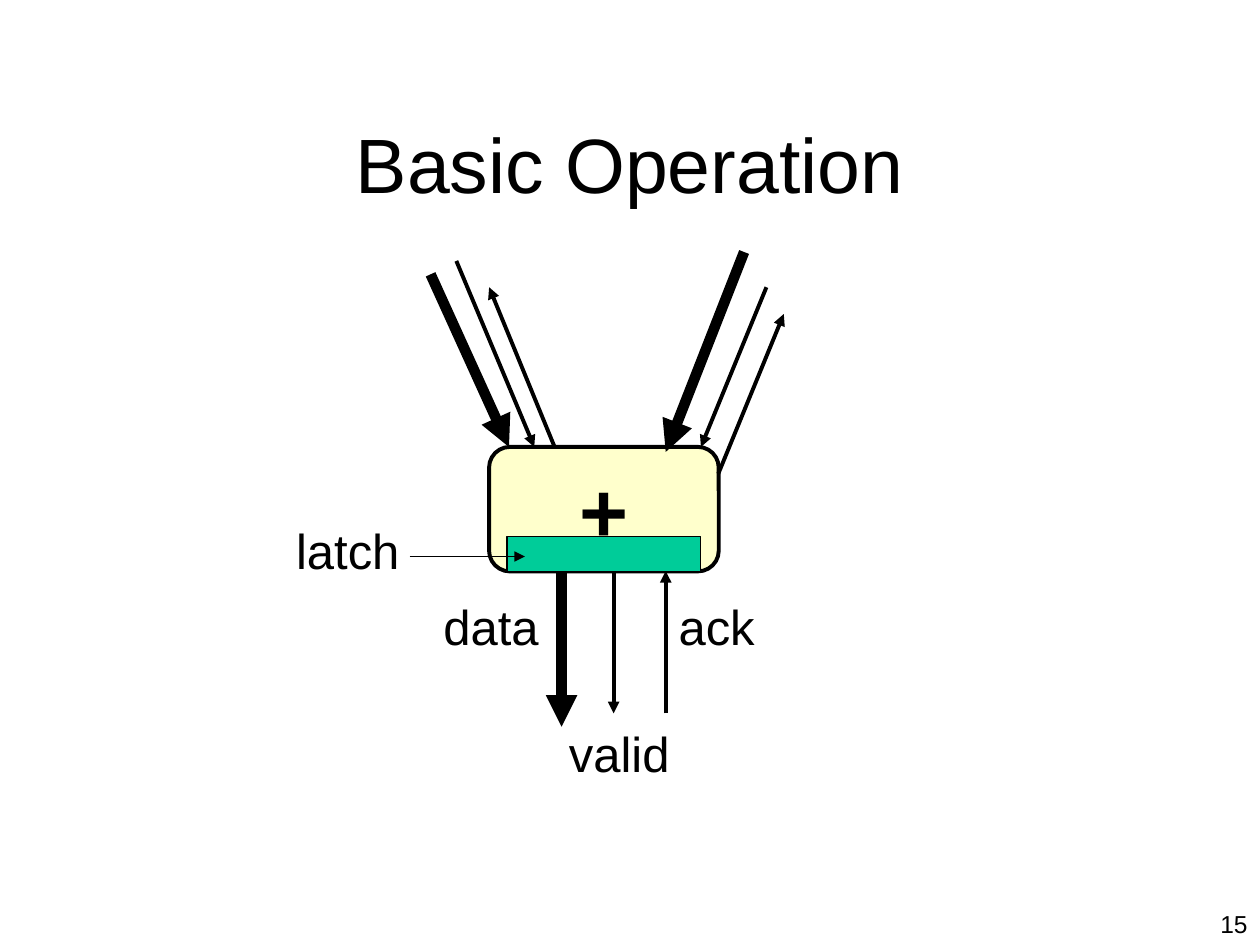
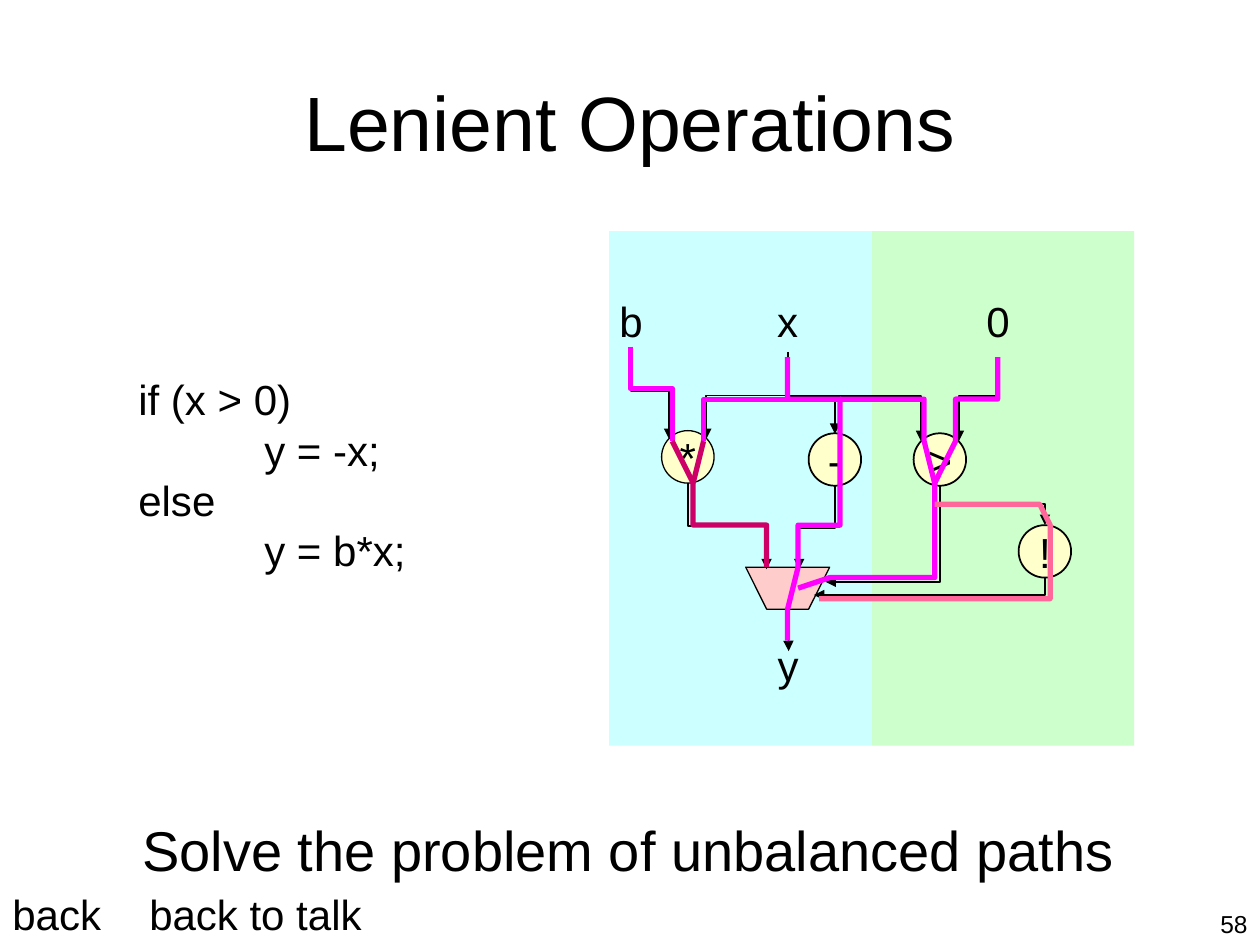
from dataclasses import dataclass

from lxml import etree
from pptx import Presentation
from pptx.dml.color import RGBColor as RGB
from pptx.enum.shapes import MSO_CONNECTOR as CONN, MSO_SHAPE as SHAPE
from pptx.enum.text import MSO_ANCHOR as ANCHOR, PP_ALIGN as ALIGN
from pptx.oxml.ns import qn
from pptx.util import Cm, Pt

FONT = "Arial"
COLORS = {
    "ink": "000000", "node": "FFFFCC", "latch": "00CC99", "mux": "FFCCCC",
    "cyan": "CCFFFF", "green": "CCFFCC",
    "taken": "FF00FF", "product": "CC0066", "negated": "FF6699",
}


@dataclass
class Box:
    left: float
    top: float
    unit: float = 1

    def size(self, *lengths):
        return [Cm(n * self.unit) for n in lengths]

    def at(self, x, y):
        return Cm(self.left + x * self.unit), Cm(self.top + y * self.unit)


PAGE = Box(0, 0)


def color(name):
    return RGB.from_string(COLORS[name])


def write(tf, lines, size, align=ALIGN.LEFT, bold=False, spacing=None, tab=None):
    for i, line in enumerate(lines):
        p = tf.paragraphs[0] if i == 0 else tf.add_paragraph()
        p.alignment = align
        if spacing:
            p.line_spacing = spacing
        if tab:
            tabs = etree.SubElement(p._p.get_or_add_pPr(), qn("a:tabLst"))
            etree.SubElement(tabs, qn("a:tab"), pos=str(tab), algn="l")
        r = p.add_run()
        r.text = line
        r.font.name, r.font.size, r.font.bold = FONT, Pt(size), bold
        r.font.color.rgb = color("ink")


def add_text(s, box, rect, lines, size, anchor=ANCHOR.TOP, wrap=False, **style):
    x, y, w, h = rect
    tb = s.shapes.add_textbox(*box.at(x, y), *box.size(w, h))
    tf = tb.text_frame
    tf.word_wrap = wrap
    tf.vertical_anchor = anchor
    write(tf, lines, size, **style)


def paint(sp, fill=None, line=None, width=1):
    sp.shadow.inherit = False
    if fill:
        sp.fill.solid()
        sp.fill.fore_color.rgb = color(fill)
    else:
        sp.fill.background()
    if line:
        sp.line.color.rgb = color(line)
        sp.line.width = Pt(width)
    else:
        sp.line.fill.background()


def add_block(s, box, kind, rect, fill, line=None, width=1, text=None, size=24, bold=False):
    x, y, w, h = rect
    sp = s.shapes.add_shape(kind, *box.at(x, y), *box.size(w, h))
    paint(sp, fill, line, width)
    if text:
        sp.text_frame.word_wrap = False
        sp.text_frame.vertical_anchor = ANCHOR.MIDDLE
        write(sp.text_frame, [text], size, ALIGN.CENTER, bold)


def add_path(s, box, points, fill=None, line="ink", width=1, close=False):
    start, *rest = [box.at(x, y) for x, y in points]
    fb = s.shapes.build_freeform(*start)
    fb.add_line_segments(rest, close=close)
    paint(fb.convert_to_shape(), fill, line, width)


def add_line(s, box, start, end, width, line="ink", arrow=True, kind=CONN.STRAIGHT):
    c = s.shapes.add_connector(kind, *box.at(*start), *box.at(*end))
    c.line.color.rgb = color(line)
    c.line.width = Pt(width)
    if arrow:
        etree.SubElement(c.line._get_or_add_ln(), qn("a:tailEnd"), type="triangle")
    etree.SubElement(c._element.spPr, qn("a:effectLst"))
    return c


def add_elbow(s, box, start, end, bend=None):
    c = add_line(s, box, start, end, 1, kind=CONN.ELBOW)
    (x1, y1), (x2, y2) = start, end
    run, drop = abs(x2 - x1), y2 - y1
    c.left, c.top = box.at((x1 + x2 - drop) / 2, (y1 + y2 - run) / 2)
    c.width, c.height = box.size(drop, run)
    xfrm = c._element.spPr.find(qn("a:xfrm"))
    for flip in ("flipH", "flipV"):
        xfrm.attrib.pop(flip, None)
    if x2 > x1:
        xfrm.set("rot", "16200000")
        xfrm.set("flipH", "1")
    else:
        xfrm.set("rot", "5400000")
    geom = c._element.spPr.find(qn("a:prstGeom"))
    if bend is None:
        geom.set("prst", "bentConnector2")
        return
    av = geom.find(qn("a:avLst"))
    if av is None:
        av = etree.SubElement(geom, qn("a:avLst"))
    ratio = round((bend - y1) / drop * 100000)
    etree.SubElement(av, qn("a:gd"), name="adj1", fmla=f"val {ratio}")


def add_page(prs, title, title_height, number):
    s = prs.slides.add_slide(prs.slide_layouts[6])
    add_text(s, PAGE, (1.9, 1.7, 21.6, title_height), [title], 44,
             ANCHOR.MIDDLE, True, align=ALIGN.CENTER)
    add_text(s, PAGE, (24.13, 18.21, 1.27, 0.84), [number], 14,
             wrap=True, align=ALIGN.RIGHT)
    return s


def draw_adder(s, box):
    add_block(s, box, SHAPE.ROUNDED_RECTANGLE, (4.14, 3.93, 4.63, 2.51),
              "node", "ink", 2.25, "+", 48, True)
    data, signal = 6, 2.25
    for start, end, width in [
        ((5.6, 6.35), (5.6, 9.57), data),
        ((6.65, 6.35), (6.65, 9.3), signal),
        ((7.7, 9.3), (7.7, 6.43), signal),
        ((2.96, 0.45), (4.54, 3.93), data),
        ((3.48, 0.18), (5.05, 3.93), signal),
        ((5.46, 3.93), (4.14, 0.71), signal),
        ((9.28, 0), (7.7, 4.03), data),
        ((9.73, 0.71), (8.41, 3.93), signal),
        ((8.76, 4.47), (10.08, 1.25), signal),
    ]:
        add_line(s, box, start, end, width)
    add_block(s, box, SHAPE.RECTANGLE, (4.5, 5.73, 3.91, 0.71), "latch", "ink", 0.75)
    add_line(s, box, (2.54, 6.14), (4.86, 6.14), 0.75)
    for text, x, y, w in [("latch", 0, 5.28, 2.8), ("data", 2.97, 6.82, 2.7),
                          ("ack", 7.71, 6.82, 2.3), ("valid", 5.5, 9.38, 2.6)]:
        add_text(s, box, (x, y, w, 1.45), [text], 28)


def draw_circuit(s, box):
    for x, fill in ((0, "cyan"), (25, "green")):
        add_block(s, box, SHAPE.RECTANGLE, (x, 0, 25, 49), fill)
    for op, x, y, width in [("*", 5, 19, 0.75), ("-", 19, 19.25, 1),
                            (">", 29, 19.25, 1), ("!", 39, 28, 1)]:
        add_block(s, box, SHAPE.OVAL, (x, y, 5, 5), "node", "ink", width, op)
    add_path(s, box, [(13, 32), (21, 32), (19, 36), (15, 36)], "mux", width=0.75, close=True)
    for text, x, y, spacing in [("b", 2.05, 5.5, None), ("x", 17, 5.5, None),
                                ("0", 37, 5.5, None), ("y", 17.05, 40, 0.6)]:
        add_text(s, box, (x - 2.25, y, 4.5, 4), [text], 24,
                 align=ALIGN.CENTER, spacing=spacing)
    for start, end, bend in [
        ((2.05, 11.5), (5.7, 19.8), 15.2),
        ((17, 11.5), (9.25, 19.8), 15.65),
        ((17, 12), (21.5, 19.3), 15.7),
        ((17, 12), (29.7, 20), 15.7),
        ((37.1, 12), (33.3, 20), 15.7),
        ((7.5, 24), (15, 32.2), 28.1),
        ((21.5, 24.3), (18.1, 32.2), 28.3),
        ((31.5, 24.2), (41.5, 28), 26),
        ((31.5, 24.3), (20.6, 33.4), None),
        ((41.5, 33), (19.5, 34.65), None),
    ]:
        add_elbow(s, box, start, end, bend)
    add_line(s, box, (17, 36), (17.1, 40), 0.75)
    draw_traces(s, box)


def draw_traces(s, box):
    for line, points in [
        ("taken", [(17, 12), (17, 16), (22, 16), (22, 28), (18, 28),
                   (18, 32), (17, 36), (17, 39)]),
        ("taken", [(22, 16), (30, 16), (30, 20), (31, 24), (31, 33), (21, 33), (18, 34)]),
        ("taken", [(37, 12), (37, 16), (33, 16), (33, 20), (31, 24)]),
        ("taken", [(2, 11), (2, 15), (6, 15), (6, 20)]),
        ("taken", [(17, 16), (9, 16), (9, 20)]),
        ("product", [(9, 20), (8, 24), (8, 28), (15, 28), (15, 32)]),
        ("negated", [(31, 26), (41, 26), (42, 28), (42, 35), (20, 35)]),
    ]:
        add_path(s, box, points, line=line, width=3)
    add_line(s, box, (6, 20), (8, 24), 3, "product", arrow=False)


def draw_code(s, box):
    add_text(s, box, (0, 0, 6.2, 4.32),
             ["if (x > 0)", "\ty = -x;", "else", "\ty = b*x;"], 24, tab=Cm(2.54))


def draw_closing(s, box):
    add_text(s, box, (2.62, 0, 20.4, 1.63), ["Solve the problem of unbalanced paths"], 32)
    for text, x, w in (("back", 0, 2.5), ("back to talk", 2.76, 5.2)):
        add_text(s, box, (x, 1.47, w, 1.27), [text], 24)


def main():
    prs = Presentation()
    prs.slide_width, prs.slide_height = Cm(25.4), Cm(19.05)
    s = add_page(prs, "Basic Operation", 3.18, "15")
    draw_adder(s, Box(5.72, 5.08))
    s = add_page(prs, "Lenient Operations", 1.47, "58")
    draw_code(s, Box(2.54, 7.41))
    draw_circuit(s, Box(12.28, 4.66, 2.54 / 12))
    draw_closing(s, Box(0, 16.31))
    prs.save("out.pptx")


if __name__ == "__main__":
    main()
